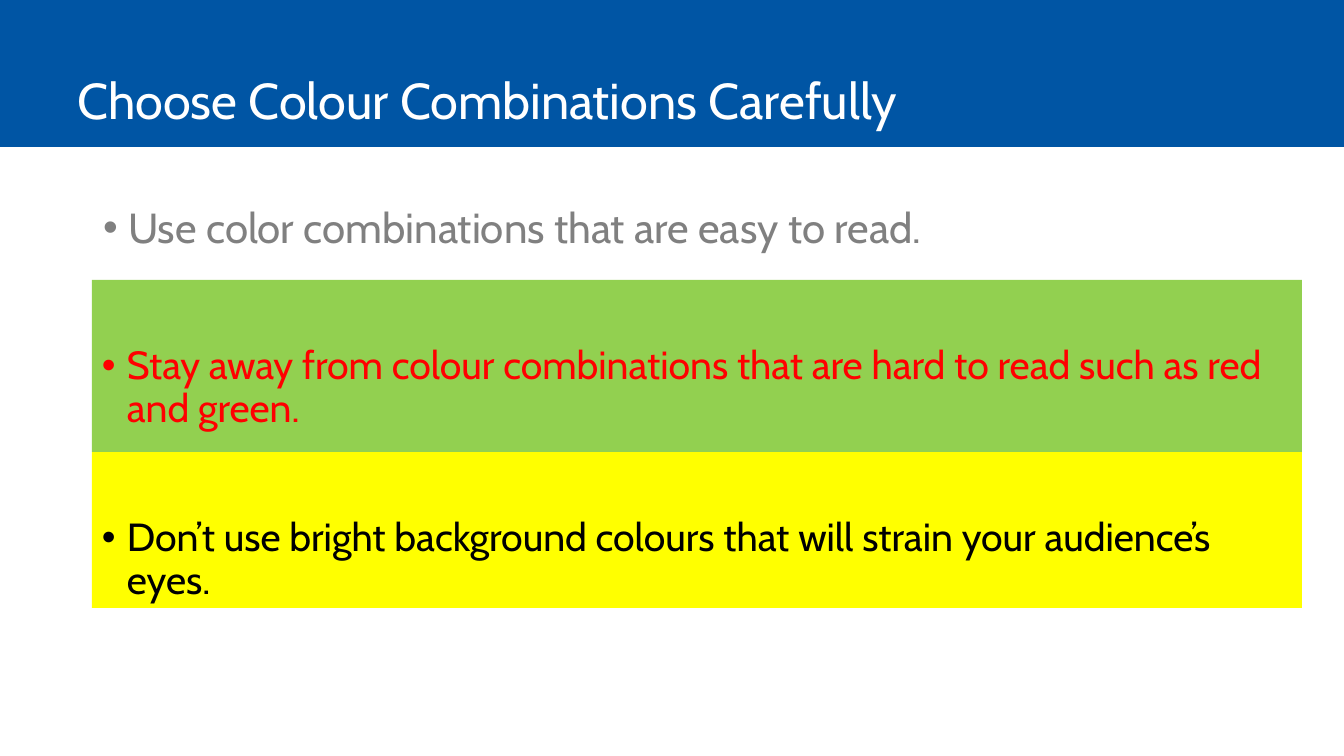
from lxml import etree
from pptx import Presentation
from pptx.dml.color import RGBColor
from pptx.enum import shapes, text
from pptx.oxml import ns
from pptx import util as u

BLUE = RGBColor(0x00, 0x55, 0xA4)
WHITE = RGBColor(0xFF, 0xFF, 0xFF)
GREY = RGBColor(0x80, 0x80, 0x80)
GREEN = RGBColor(0x92, 0xD0, 0x50)
RED = RGBColor(0xFF, 0x00, 0x00)
YELLOW = RGBColor(0xFF, 0xFF, 0x00)
BLACK = RGBColor(0x00, 0x00, 0x00)

SCALE = 914400 / 100.8


def px(n):
    return u.Emu(round(n * SCALE))


class Deck:
    font = "Cabin"
    indent = 25

    def __init__(self, wide, high):
        self.prs = Presentation()
        self.prs.slide_width, self.prs.slide_height = px(wide), px(high)
        self.slide = self.prs.slides.add_slide(self.prs.slide_layouts[1])

    def place(self, shape, box):
        shape.left, shape.top, shape.width, shape.height = map(px, box)

    def label(self, shape, words, size, color, anchor):
        frame = shape.text_frame
        frame.text = words
        frame.word_wrap = True
        frame.auto_size = text.MSO_AUTO_SIZE.NONE
        frame.vertical_anchor = anchor
        para = frame.paragraphs[0]
        para.alignment = text.PP_ALIGN.LEFT
        para.line_spacing = 0.9
        para.space_before = u.Pt(0)
        font = para.runs[0].font
        font.name, font.size, font.color.rgb = self.font, u.Pt(size), color
        return para

    def bullet(self, para):
        props = para._p.get_or_add_pPr()
        props.set("marL", str(px(self.indent)))
        props.set("indent", str(-px(self.indent)))
        face = etree.SubElement(props, ns.qn("a:buFont"))
        face.set("typeface", "Arial")
        mark = etree.SubElement(props, ns.qn("a:buChar"))
        mark.set("char", "•")

    def title(self, box, words, size, color):
        shape = self.slide.shapes.title
        self.place(shape, box)
        self.label(shape, words, size, color, text.MSO_ANCHOR.BOTTOM)

    def body(self, box, words, size, color):
        shape = self.slide.placeholders[1]
        self.place(shape, box)
        self.bullet(self.label(shape, words, size, color, text.MSO_ANCHOR.TOP))

    def band(self, box, fill):
        shape = self.slide.shapes.add_shape(
            shapes.MSO_SHAPE.RECTANGLE, *map(px, box))
        shape.shadow.inherit = False
        shape.fill.solid()
        shape.fill.fore_color.rgb = fill
        shape.line.fill.background()
        return shape

    def banner(self, box, fill):
        """Draw a band that lies behind the placeholders."""
        shape = self.band(box, fill)
        self.slide.shapes._spTree.insert(2, shape._element)

    def sample(self, box, fill, words, size, color):
        """Draw a filled band with one bullet set low in it."""
        shape = self.band(box, fill)
        para = self.label(shape, words, size, color, text.MSO_ANCHOR.TOP)
        shape.text_frame.margin_top = px(66)
        self.bullet(para)


def main():
    deck = Deck(1344, 756)
    deck.banner((0, 0, 1344, 147), BLUE)
    deck.title((67, 0, 1185, 135),
               "Choose Colour Combinations Carefully", 36, WHITE)
    deck.body((93, 202, 1159, 480),
              "Use color combinations that are easy to read.", 30, GREY)
    deck.sample((92, 280, 1210, 172), GREEN,
                "Stay away from colour combinations that are hard to read "
                "such as red and green.", 28, RED)
    deck.sample((92, 452, 1210, 156), YELLOW,
                "Don’t use bright background colours that will strain your "
                "audience’s eyes.", 28, BLACK)
    deck.prs.save("out.pptx")


if __name__ == "__main__":
    main()
